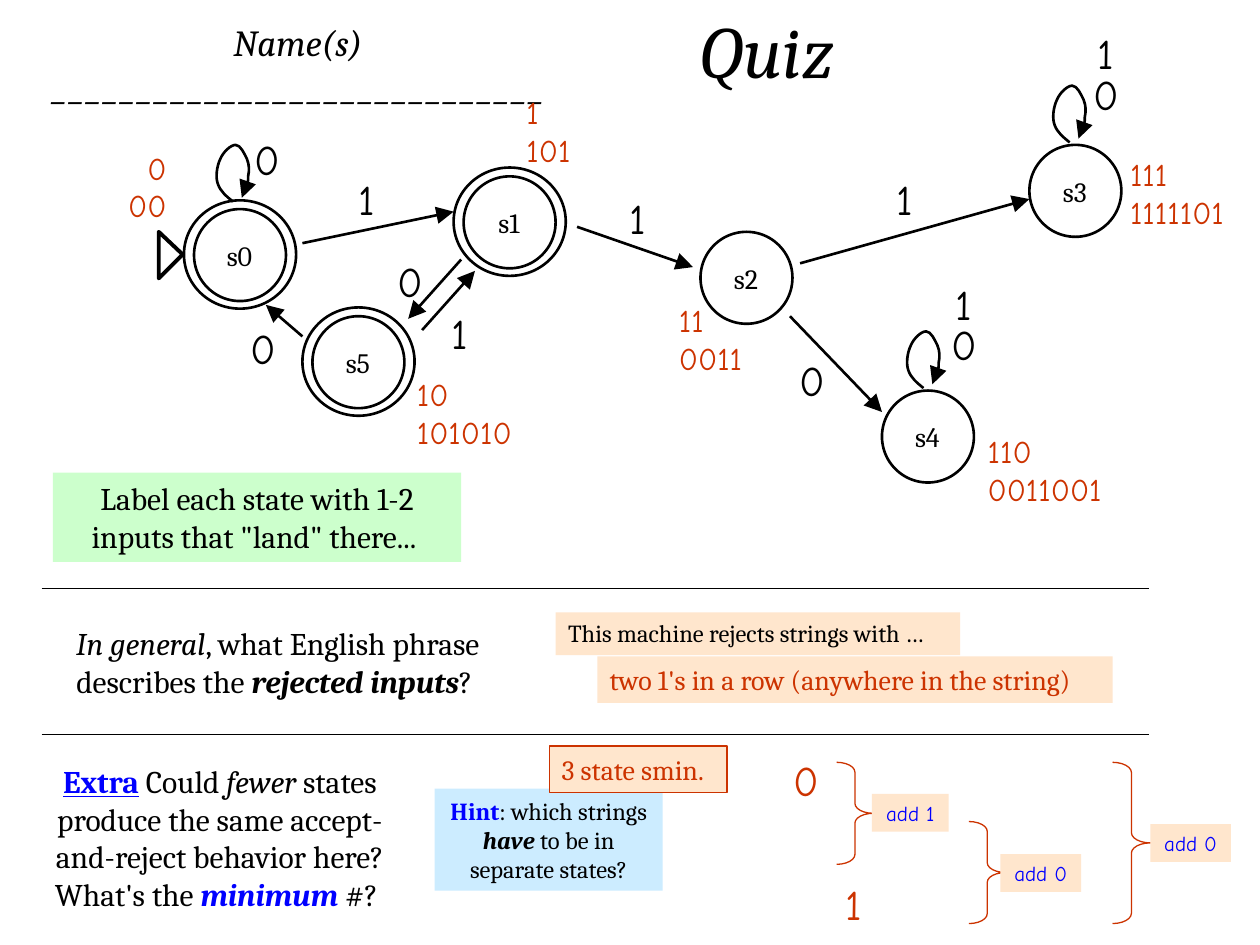
from pptx import Presentation
from pptx.dml.color import RGBColor
from pptx.enum.shapes import MSO_CONNECTOR as CONN, MSO_SHAPE as SHAPE
from pptx.enum.text import MSO_ANCHOR as ANCHOR, PP_ALIGN as ALIGN
from pptx.oxml.ns import qn
from pptx.util import Inches, Pt
from lxml import etree

SERIF, HAND = "Cambria", "Comic Neue"
BLACK, RUST, BLUE = "000000", "CC3300", "0000FF"
PEACH, GREEN, SKY, WHITE = "FFE6CD", "CCFFCC", "CCECFF", "FFFFFF"
LOOP_SIZE, LOOP_START = (0.26, 0.45), (0.14, 0.45)
LOOP_CURVES = [
    ((0.09, 0.41), (0.04, 0.37), (0.02, 0.31)),
    ((0, 0.26), (0.01, 0.17), (0.04, 0.11)),
    ((0.06, 0.06), (0.12, 0), (0.16, 0)),
    ((0.2, 0), (0.23, 0.07), (0.25, 0.11)),
    ((0.27, 0.16), (0.27, 0.2), (0.26, 0.25)),
    ((0.26, 0.3), (0.24, 0.36), (0.21, 0.42)),
]


def rgb(value):
    """Turn a hex string into a colour."""
    return RGBColor.from_string(value)


def inches(*values):
    """Turn numbers into lengths."""
    return [Inches(v) for v in values]


def style(sp, fill=None, line=None, width=1.5):
    """Set the fill and outline of a shape."""
    sp.shadow.inherit = False
    if fill:
        sp.fill.solid()
        sp.fill.fore_color.rgb = rgb(fill)
    else:
        sp.fill.background()
    if line:
        sp.line.color.rgb = rgb(line)
        sp.line.width = Pt(width)
    else:
        sp.line.fill.background()


def add_arrowhead(sp):
    """Put a large triangle at the end of a line."""
    ln = sp.line._get_or_add_ln()
    etree.SubElement(ln, qn("a:tailEnd"), type="triangle", w="lg", len="lg")


def add_text(s, at, paragraphs, size, color=BLACK, font=SERIF, align=ALIGN.CENTER,
             anchor=ANCHOR.MIDDLE, wrap=True, fill=None, line=None):
    """Add a text box, or a rectangle with text if it has a fill."""
    if fill:
        sp = s.shapes.add_shape(SHAPE.RECTANGLE, *inches(*at))
        style(sp, fill, line, 0.75)
    else:
        sp = s.shapes.add_textbox(*inches(*at))
    tf = sp.text_frame
    tf.word_wrap, tf.vertical_anchor = wrap, anchor
    for i, runs in enumerate(paragraphs):
        p = tf.add_paragraph() if i else tf.paragraphs[0]
        p.alignment = align
        for text, extra in runs:
            r = p.add_run()
            r.text = text
            values = {"name": font, "size": Pt(size), "color": color, **extra}
            r.font.color.rgb = rgb(values.pop("color"))
            for key, value in values.items():
                setattr(r.font, key, value)
    return tf


def add_symbol(s, x, y, text, color=BLACK):
    """Add a single large hand-written digit."""
    add_text(s, (x, y, 0.4, 0.5), [[(text, {})]], 24, color, HAND, wrap=False)


def add_line(s, start, end, width=1.5, arrow=True):
    """Add a straight line, with an arrowhead if wanted."""
    c = s.shapes.add_connector(CONN.STRAIGHT, *inches(*start, *end))
    c.line.color.rgb = rgb(BLACK)
    c.line.width = Pt(width)
    if arrow:
        add_arrowhead(c)
    etree.SubElement(c._element.spPr, qn("a:effectLst"))


def add_outline(s, points, closed, width):
    """Add an unfilled freeform through the points."""
    first, *rest = [inches(*point) for point in points]
    builder = s.shapes.build_freeform(*first)
    builder.add_line_segments(rest, close=closed)
    sp = builder.convert_to_shape()
    style(sp, line=BLACK, width=width)
    return sp


def add_loop(s, x, y):
    """Add a curved arrow from a state back to itself."""
    w, h = LOOP_SIZE
    sp = add_outline(s, [(x, y), (x + w, y + h)], False, 1.5)
    outline = sp._element.spPr.find(".//" + qn("a:path"))
    for child in list(outline):
        outline.remove(child)
    segments = [("a:moveTo", [LOOP_START])]
    segments += [("a:cubicBezTo", curve) for curve in LOOP_CURVES]
    for tag, points in segments:
        segment = etree.SubElement(outline, qn(tag))
        for px, py in points:
            etree.SubElement(segment, qn("a:pt"), x=str(int(Inches(px))), y=str(int(Inches(py))))
    add_arrowhead(sp)


def add_state(s, name, x, y, accepting):
    """Add a state circle with its name and, if accepting, a ring."""
    rings = [(x, y, 0.73, 0.73)]
    if accepting:
        rings.append((x - 0.08, y - 0.07, 0.89, 0.86))
    for ring in rings:
        style(s.shapes.add_shape(SHAPE.OVAL, *inches(*ring)), line=BLACK)
    add_text(s, (x + 0.15, y + 0.18, 0.42, 0.37), [[(name, {})]], 16, wrap=False)


def add_inputs(s, x, y, inputs, align=ALIGN.LEFT):
    """Add the sample inputs of a state, one under the other."""
    for i, text in enumerate(inputs):
        add_text(s, (x, y + 0.3 * i, 1.21, 0.4), [[(text, {})]], 18, RUST, HAND, align)


def add_brace(s, brace, label, text):
    """Add a right brace and the label at its point."""
    sp = s.shapes.add_shape(SHAPE.RIGHT_BRACE, *inches(*brace))
    sp.adjustments[0], sp.adjustments[1] = 0.27, 0.5
    style(sp, line=RUST, width=0.75)
    add_text(s, label, [[(text, {})]], 12, BLUE, HAND, wrap=False, fill=PEACH)


def add_machine(s):
    """Draw the state machine with its labels."""
    for state in [("s0", 1.54, 1.66, True), ("s1", 3.68, 1.4, True),
                  ("s2", 5.56, 1.84, False), ("s3", 8.17, 1.15, False),
                  ("s4", 7, 3.1, False), ("s5", 2.48, 2.51, True)]:
        add_state(s, *state)
    add_outline(s, [(1.26, 1.84), (1.26, 2.21), (1.45, 2.02)], True, 2.25)
    for start, end in [((2.4, 1.93), (3.6, 1.68)), ((4.58, 1.8), (5.5, 2.12)),
                       ((3.66, 2.06), (3.24, 2.53)), ((6.35, 2.09), (8.17, 1.58)),
                       ((6.27, 2.51), (7, 3.27)), ((3.35, 2.62), (3.77, 2.15)),
                       ((2.4, 2.67), (2.11, 2.42))]:
        add_line(s, start, end)
    for x, y in [(1.71, 1.15), (8.35, 0.68), (7.19, 2.63)]:
        add_loop(s, x, y)
    for x, y, digit in [(2.71, 1.33, "1"), (4.86, 1.48, "1"), (3.06, 1.98, "0"),
                        (6.98, 1.33, "1"), (6.25, 2.76, "0"), (1.92, 1.01, "0"),
                        (7.45, 2.16, "1"), (7.45, 2.48, "0"), (8.58, 0.17, "1"),
                        (8.58, 0.49, "0"), (3.45, 2.39, "1"), (1.89, 2.51, "0")]:
        add_symbol(s, x, y, digit)
    add_inputs(s, 0.21, 1.13, ["0", "00"], ALIGN.RIGHT)
    for x, y, inputs in [(3.21, 2.93, ["10", "101010"]), (4.08, 0.69, ["1", "101"]),
                         (5.29, 2.34, ["11", "0011"]), (7.74, 3.38, ["110", "0011001"]),
                         (8.87, 1.18, ["111", "1111101"])]:
        add_inputs(s, x, y, inputs)


def add_questions(s):
    """Add the questions, the answers and the hint."""
    it, bold = {"italic": True}, {"bold": True}
    both, blue = {**it, **bold}, {"bold": True, "color": BLUE}
    answer = {"align": ALIGN.LEFT, "anchor": ANCHOR.TOP, "fill": PEACH}
    add_text(s, (0.42, 3.75, 3.24, 0.71),
             [[('Label each state with 1-2 inputs that "land" there... ', {})]], 18, fill=GREEN)
    add_text(s, (0.35, 4.9, 3.71, 0.71),
             [[("In general", it), (", what English phrase describes the ", {}),
               ("rejected inputs", both), ("? ", {})]], 18)
    add_text(s, (0.25, 5.99, 2.99, 1.31),
             [[("Extra", {**blue, "underline": True}), (" Could ", {}), ("fewer", it),
               (" states produce the same accept-and-reject behavior here? What's the ", {}),
               ("minimum ", {**blue, **it}), ("#? ", {})]], 18, fill=WHITE)
    add_text(s, (3.45, 6.26, 1.81, 0.81),
             [[("Hint", blue), (": which strings ", {}), ("have ", both),
               ("to be in separate states?", {})]], 14, fill=SKY)
    add_text(s, (4.74, 5.21, 4.09, 0.37),
             [[("two 1's in a row (anywhere in the string)", {})]], 16, RUST, **answer)
    add_text(s, (4.36, 5.92, 1.41, 0.37), [[("3 state smin.", {})]], 16, RUST,
             line=RUST, **answer)
    add_text(s, (4.41, 4.86, 3.21, 0.34),
             [[("This machine rejects strings with …", {})]], 14, **answer)


def main():
    """Build the quiz slide."""
    prs = Presentation()
    prs.slide_width, prs.slide_height = inches(10, 7.5)
    s = prs.slides.add_slide(prs.slide_layouts[6])
    it = {"italic": True}
    add_text(s, (5.24, -0.01, 1.68, 0.81), [[("Quiz", it)]], 42, anchor=ANCHOR.TOP)
    tf = add_text(s, (-0.14, 0.11, 5.27, 0.45), [[("Name(s)", it)], [("_" * 29, it)]], 21,
                  anchor=ANCHOR.TOP)
    tf.paragraphs[0]._p.get_or_add_pPr().set("marR", str(int(Inches(0.26))))
    add_machine(s)
    for y in (4.67, 5.83):
        add_line(s, (0.33, y), (9.12, y), 1, False)
    add_questions(s)
    add_symbol(s, 6.2, 5.94, "0", RUST)
    add_symbol(s, 6.58, 6.92, "1", RUST)
    add_brace(s, (6.64, 6.05, 0.29, 0.81), (6.92, 6.3, 0.61, 0.3), "add 1")
    add_brace(s, (7.69, 6.52, 0.29, 0.81), (7.94, 6.78, 0.64, 0.3), "add 0")
    add_brace(s, (8.83, 6.05, 0.3, 1.28), (9.13, 6.54, 0.64, 0.3), "add 0")
    prs.save("out.pptx")


if __name__ == "__main__":
    main()
